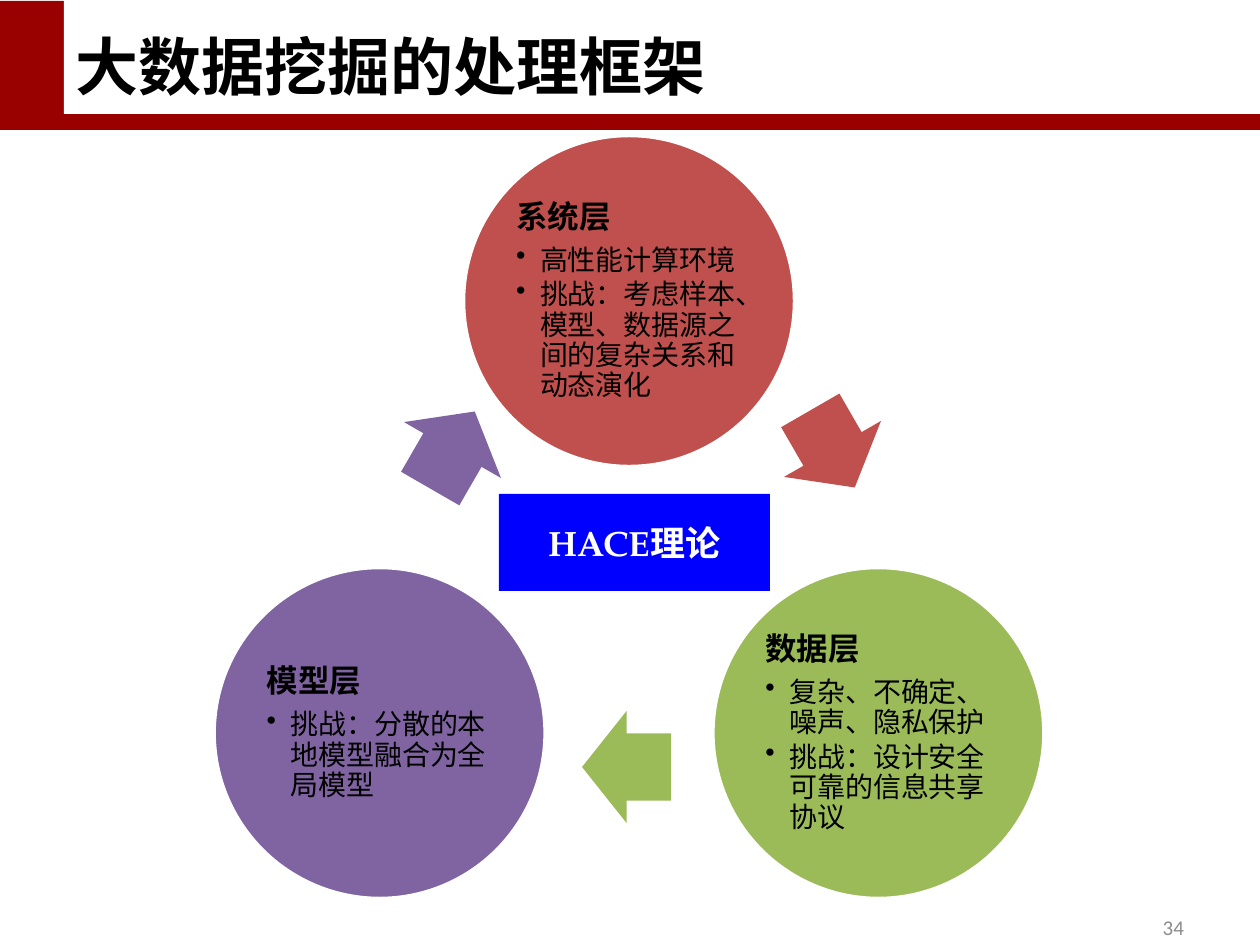
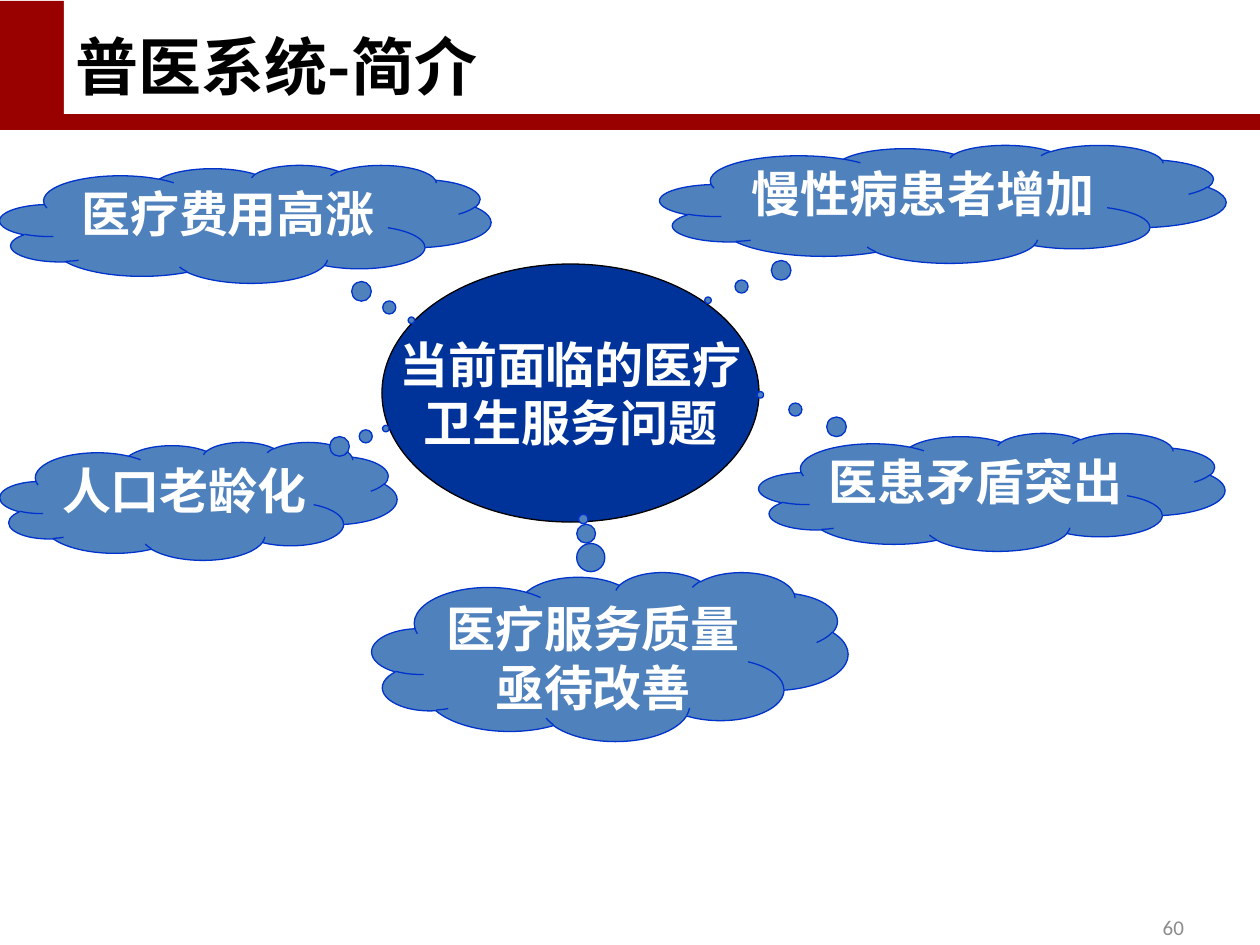
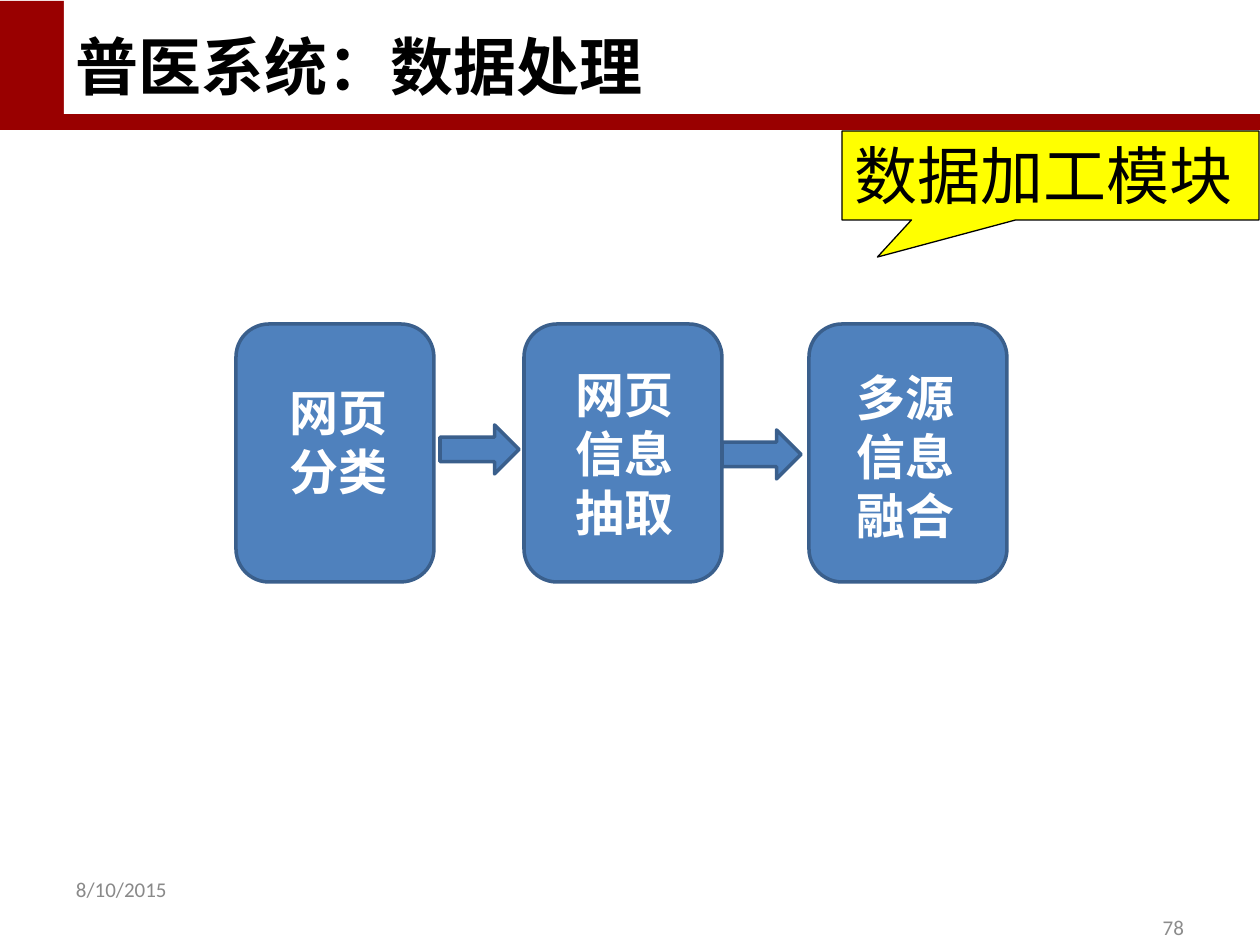
import math
import pptx
import pptx.util
import pptx.dml.color
import pptx.enum.shapes
import pptx.enum.text
import pptx.oxml
import pptx.oxml.ns

KIND = pptx.enum.shapes.MSO_SHAPE
ALIGN = pptx.enum.text.PP_ALIGN
ANCHOR = pptx.enum.text.MSO_ANCHOR
Pt = pptx.util.Pt

# Shared look
SCALE = 914400 / 126
SANS = "Noto Sans CJK SC"
RED, WHITE, BLACK, GREY = "990000", "FFFFFF", "000000", "8C8C8C"
BLUE, EDGE = "4F81BD", "3A5F8C"
BANDS = [((0, 1, 1260, 129), RED), ((64, 0, 1196, 114), WHITE)]
TITLE = (63, 18, 1134, 91)
PAGE = (903, 902, 294, 50)
DATE = (63, 864, 294, 50)
PAD = (13, 6, 13, 6)
SNUG = (3, 1, 3, 1)

# Slide 1: name, points, font, colour, arrow place, arrow turn
LAYERS = [
    ("系统层", ["高性能计算环境", "挑战：考虑样本、模型、数据源之间的复杂关系和动态演化"],
     "Calibri", "C0504D", (788, 393), 60),
    ("数据层", ["复杂、不确定、噪声、隐私保护", "挑战：设计安全可靠的信息共享协议"],
     "Calibri", "9BBB59", (582, 711), 180),
    ("模型层", ["挑战：分散的本地模型融合为全局模型"],
     "Arial", "8064A2", (408, 394), 300),
]
CORE = [("HACE", "TeX Gyre Pagella"), ("理论", "Calibri")]
HUB, ORBIT, DISC, INNER = (629, 589), 288, 331, 234

# Slide 2: text, place, tail
TOPIC = ["当前面临的医疗", "卫生服务问题"]
CLOUDS = [
    ("医疗费用高涨", (0, 165, 491, 118), (0.338, 0.816)),
    ("慢性病患者增加", (660, 145, 566, 118), (-0.415, 0.816)),
    ("人口老龄化", (0, 442, 397, 118), (0.472, -0.614)),
    ("医患矛盾突出", (759, 433, 466, 118), (-0.497, -0.824)),
    ("医疗服务质量亟待改善", (372, 572, 476, 169), (-0.056, -0.814)),
]

# Slide 3: text, left of box, place of text
STEPS = [
    ("网页分类", 236, (277, 377, 139, 131)),
    ("网页信息抽取", 524, (563, 359, 139, 192)),
    ("多源信息融合", 809, (844, 362, 149, 192)),
]
ARROWS = [(440, 425), (722, 430)]


def px(*nums):
    return [round(n * SCALE) for n in nums]


def tint(hue):
    return pptx.dml.color.RGBColor.from_string(hue)


def setup(frame, pad=PAD, anchor=ANCHOR.TOP, wrap=True):
    frame.word_wrap = wrap
    frame.auto_size = pptx.enum.text.MSO_AUTO_SIZE.NONE
    frame.vertical_anchor = anchor
    (frame.margin_left, frame.margin_top,
     frame.margin_right, frame.margin_bottom) = px(*pad)


def write(frame, runs, size, hue, bold=False, align=ALIGN.LEFT,
          lead=1.2, after=0, dot=False, first=True):
    """Add one paragraph; runs are (text, font) pairs."""
    para = frame.paragraphs[0] if first else frame.add_paragraph()
    para.alignment = align
    para.line_spacing = Pt(round(size * lead, 1))
    para.space_before = Pt(0)
    para.space_after = Pt(after)
    if dot:
        prop = para._p.get_or_add_pPr()
        step = px(24)[0]
        prop.set("marL", str(step))
        prop.set("indent", str(-step))
        mark = pptx.oxml.parse_xml(
            f'<a:buChar {pptx.oxml.ns.nsdecls("a")} char="•"/>')
        prop.append(mark)
    for text, face in runs:
        run = para.add_run()
        run.text = text
        font = run.font
        font.name, font.size, font.bold = face, Pt(size), bold
        font.color.rgb = tint(hue)
        east = pptx.oxml.parse_xml(
            f'<a:ea {pptx.oxml.ns.nsdecls("a")} typeface="{SANS}"/>')
        run._r.rPr.find(pptx.oxml.ns.qn("a:latin")).addnext(east)


def draw(slide, kind, box, hue, line=None, width=0.75, adj=(), turn=0):
    shape = slide.shapes.add_shape(kind, *px(*box))
    shape.shadow.inherit = False
    shape.fill.solid()
    shape.fill.fore_color.rgb = tint(hue)
    if line:
        shape.line.color.rgb = tint(line)
        shape.line.width = Pt(width)
    else:
        shape.line.fill.background()
    for i, val in enumerate(adj):
        shape.adjustments[i] = val
    shape.rotation = turn
    return shape


def label(slide, box, **opts):
    frame = slide.shapes.add_textbox(*px(*box)).text_frame
    setup(frame, **opts)
    return frame


def band(slide, layout):
    """Draw the header bands and hand them to the layout."""
    for i, (box, hue) in enumerate(BANDS):
        node = draw(slide, KIND.RECTANGLE, box, hue)._element
        node.nvSpPr.cNvPr.set("id", str(50 + i))
        layout.shapes._spTree.insert(2 + i, node)


def start(deck, text, page):
    slide = deck.slides.add_slide(deck.slide_layouts[5])
    title = slide.shapes.title
    title.left, title.top, title.width, title.height = px(*TITLE)
    setup(title.text_frame, anchor=ANCHOR.BOTTOM)
    write(title.text_frame, [(text, SANS)], 36, BLACK, True)
    frame = label(slide, PAGE, anchor=ANCHOR.MIDDLE)
    write(frame, [(page, "Calibri")], 12, GREY, align=ALIGN.RIGHT)
    return slide


def cycle(slide):
    for i, (name, points, face, hue, spot, turn) in enumerate(LAYERS):
        angle = math.radians(120 * i - 90)
        x = HUB[0] + ORBIT * math.cos(angle)
        y = HUB[1] + ORBIT * math.sin(angle)
        disc, text = [(x - d / 2, y - d / 2, d, d) for d in (DISC, INNER)]
        draw(slide, KIND.OVAL, disc, hue, WHITE, 2)
        frame = label(slide, text, pad=(4, 4, 4, 4), anchor=ANCHOR.MIDDLE)
        write(frame, [(name, SANS)], 18, BLACK, True, lead=1.08, after=6.3)
        for point in points:
            write(frame, [(point, face)], 16, BLACK, lead=1.08,
                  after=2.4, dot=True, first=False)
        draw(slide, KIND.RIGHT_ARROW, (*spot, 89, 112), hue,
             adj=(0.6, 0.5), turn=turn)
    core = draw(slide, KIND.RECTANGLE, (499, 494, 271, 97), "0000FF", "0000FF", 0.5)
    setup(core.text_frame, (0, 0, 0, 0), ANCHOR.MIDDLE, False)
    write(core.text_frame, CORE, 20, WHITE, True, ALIGN.CENTER)


def issues(slide):
    oval = draw(slide, KIND.OVAL, (382, 264, 377, 258), "003399", BLACK)
    setup(oval.text_frame, SNUG, ANCHOR.MIDDLE, False)
    for i, text in enumerate(TOPIC):
        write(oval.text_frame, [(text, "Arial")], 28, WHITE, True,
              ALIGN.CENTER, first=i == 0)
    for text, box, tail in CLOUDS:
        cloud = draw(slide, KIND.CLOUD_CALLOUT, box, BLUE, "0033CC", adj=tail)
        setup(cloud.text_frame, SNUG)
        write(cloud.text_frame, [(text, SANS)], 28, WHITE, True, ALIGN.CENTER)


def flow(slide):
    serif = "Times New Roman"
    for text, left, box in STEPS:
        draw(slide, KIND.FLOWCHART_ALTERNATE_PROCESS, (left, 324, 198, 258),
             BLUE, EDGE, 2)
        write(label(slide, box), [(text, serif)], 28, WHITE, True)
    for spot in ARROWS:
        draw(slide, KIND.RIGHT_ARROW, (*spot, 79, 49), BLUE, EDGE, 2)
    frame = label(slide, DATE, anchor=ANCHOR.MIDDLE)
    write(frame, [("8/10/2015", "Calibri")], 12, "898989")
    note = draw(slide, KIND.RECTANGULAR_CALLOUT, (842, 131, 417, 89),
                "FFFF00", BLACK, adj=(-0.415, 0.917))
    setup(note.text_frame)
    write(note.text_frame, [("数据加工模块", serif)], 36, BLACK)


def main():
    deck = pptx.Presentation()
    deck.slide_width, deck.slide_height = px(1260, 945)
    slide = start(deck, "大数据挖掘的处理框架", "34")
    band(slide, slide.slide_layout)
    cycle(slide)
    issues(start(deck, "普医系统-简介", "60"))
    flow(start(deck, "普医系统：数据处理", "78"))
    deck.save("out.pptx")


if __name__ == "__main__":
    main()
